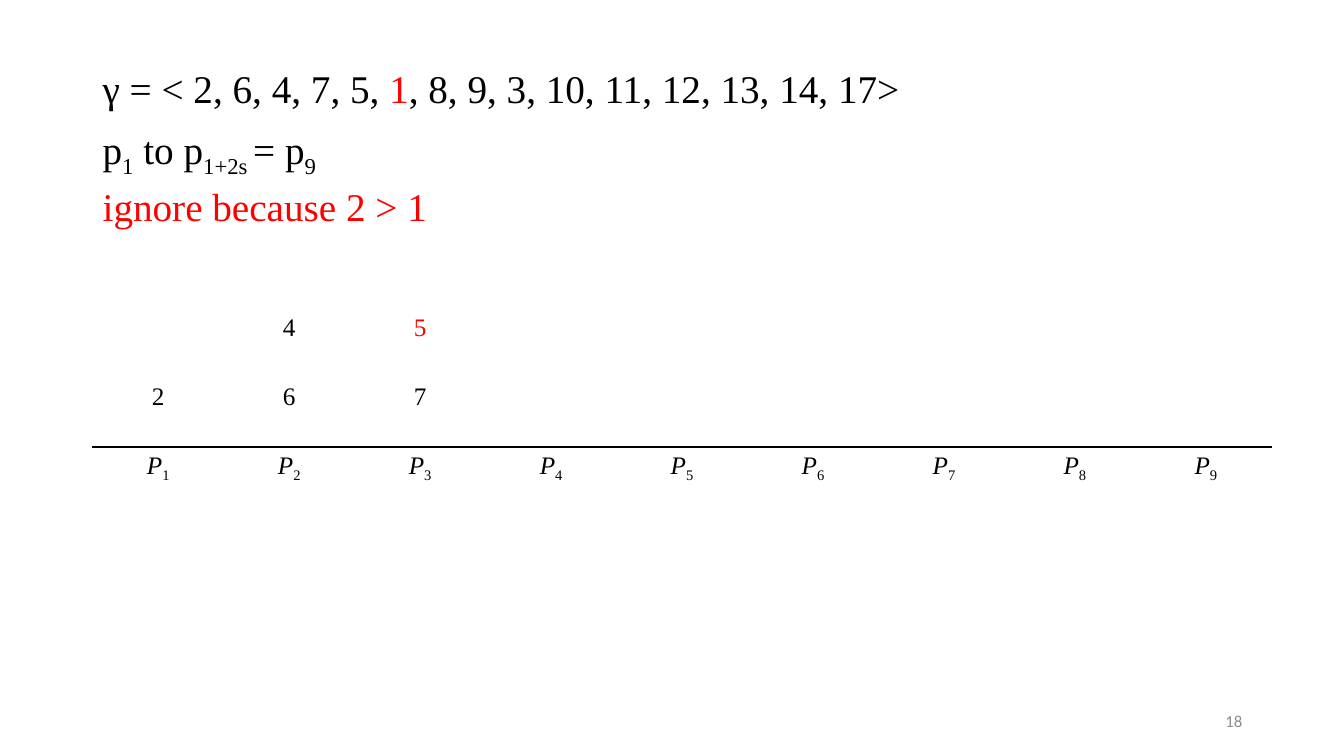
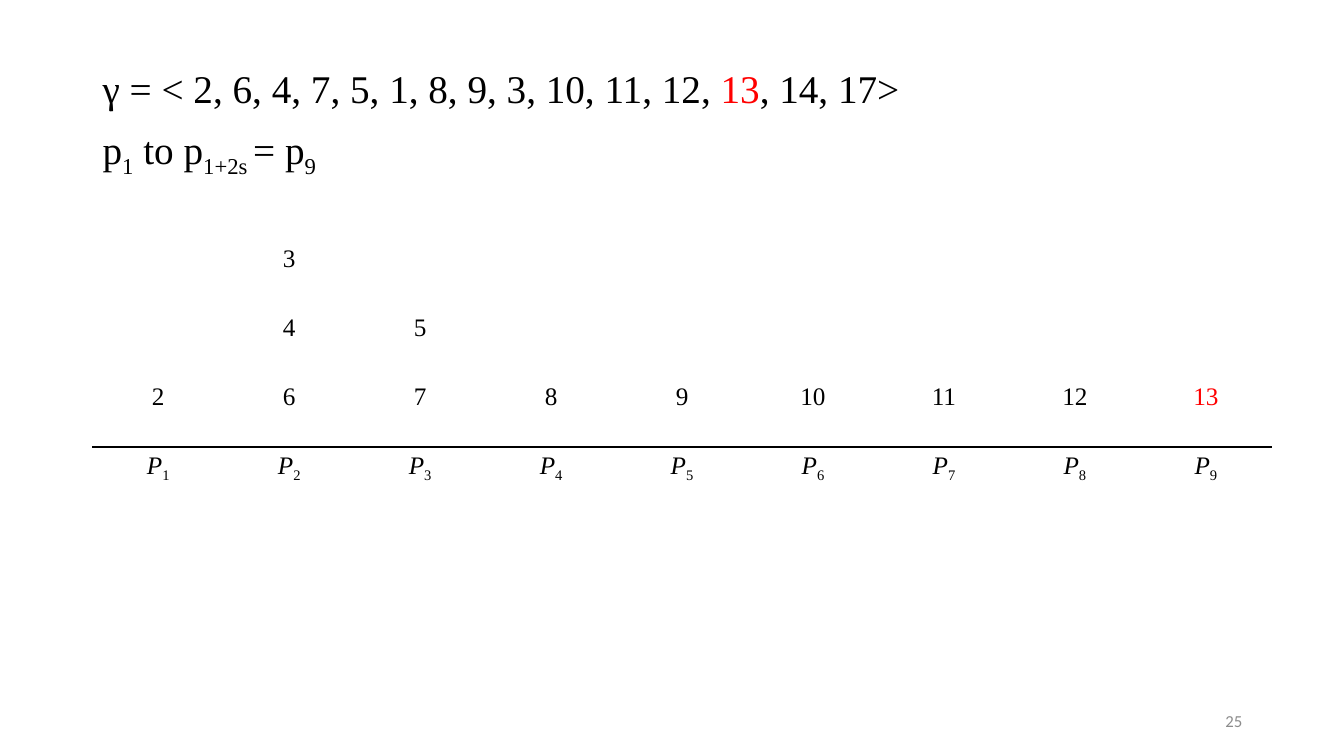
import pptx
import pptx.dml.color
import pptx.enum.text
import pptx.oxml
import pptx.oxml.ns
import pptx.util

Inches = pptx.util.Inches
Pt = pptx.util.Pt
ALIGN = pptx.enum.text.PP_ALIGN
COLORS = {"text": "000000", "accent": "FF0000", "muted": "8C8C8C", "paper": "FFFFFF"}
SERIF = "Times New Roman"
SEQUENCE = [2, 6, 4, 7, 5, 1, 8, 9, 3, 10, 11, 12, 13, 14, 17]
RANGE_RUNS = [("p", ""), ("1", "sub"), (" to p", ""), ("1+2s ", "sub"), ("= p", ""), ("9", "sub")]
PILE_ROWS = 3
PILE_COUNT = 9


def rgb(name):
    return pptx.dml.color.RGBColor.from_string(COLORS[name])


def write(p, runs, size, font=SERIF, color="text", align=None):
    p.alignment = align
    p.font.size = Pt(size)
    p.font.name = font
    p.font.color.rgb = rgb(color)
    for text, style in runs:
        r = p.add_run()
        r.text = text
        if style == "sub":
            r.font._element.set("baseline", "-25000")
        elif style == "accent":
            r.font.color.rgb = rgb("accent")
        elif style == "italic":
            r.font.italic = True


def add_text_box(slide, left, top, width, height):
    sp = slide.shapes.add_textbox(Inches(left), Inches(top), Inches(width), Inches(height))
    tf = sp.text_frame
    tf.word_wrap = True
    return tf


def sequence_runs(current):
    i = SEQUENCE.index(current)
    before = "".join(f"{n}, " for n in SEQUENCE[:i])
    after = "".join(f", {n}" for n in SEQUENCE[i + 1:])
    return [(f"γ = < {before}", ""), (str(current), "accent"), (f"{after}>", "")]


def add_body(slide, lines):
    tf = add_text_box(slide, 0.92, 0.64, 11.5, 1.7)
    for i, runs in enumerate(lines):
        p = tf.add_paragraph() if i else tf.paragraphs[0]
        p.line_spacing = 0.9
        p.space_before = Pt(10 if i else 0)
        write(p, runs, 28)


def add_page_number(slide, number):
    tf = add_text_box(slide, 9.42, 6.95, 3, 0.4)
    tf.vertical_anchor = pptx.enum.text.MSO_ANCHOR.MIDDLE
    write(tf.paragraphs[0], [(str(number), "")], 12, "Calibri", "muted", ALIGN.RIGHT)


def style_cell(cell, top, bottom):
    tcPr = cell._tc.get_or_add_tcPr()
    for side, color in (("L", "paper"), ("R", "paper"), ("T", top), ("B", bottom)):
        tcPr.append(pptx.oxml.parse_xml(
            f'<a:ln{side} {pptx.oxml.ns.nsdecls("a")} w="12700"><a:solidFill>'
            f'<a:srgbClr val="{COLORS[color]}"/></a:solidFill></a:ln{side}>'))
    cell.fill.solid()
    cell.fill.fore_color.rgb = rgb("paper")


def add_piles(slide, piles, newest):
    table = slide.shapes.add_table(
        PILE_ROWS + 1, PILE_COUNT, Inches(0.92), Inches(2.38), Inches(11.69), Inches(2.74)).table
    table.first_row = table.horz_banding = False
    for col in range(PILE_COUNT):
        pile = piles[col] if col < len(piles) else []
        for row in range(PILE_ROWS + 1):
            cell = table.cell(row, col)
            style_cell(cell, "text" if row == PILE_ROWS else "paper",
                       "text" if row == PILE_ROWS - 1 else "paper")
            level = PILE_ROWS - 1 - row
            if row == PILE_ROWS:
                runs = [("P", "italic"), (str(col + 1), "sub")]
            elif level < len(pile):
                runs = [(str(pile[level]), "accent" if pile[level] == newest else "")]
            else:
                runs = []
            write(cell.text_frame.paragraphs[0], runs, 18, align=ALIGN.CENTER)


def add_step(prs, number, current, piles, newest, remark=None):
    slide = prs.slides.add_slide(prs.slide_layouts[6])
    lines = [sequence_runs(current), RANGE_RUNS]
    if remark:
        lines.append([(remark, "accent")])
    add_body(slide, lines)
    add_page_number(slide, number)
    add_piles(slide, piles, newest)


def main():
    prs = pptx.Presentation()
    prs.slide_width = Inches(13.33)
    prs.slide_height = Inches(7.5)
    add_step(prs, 18, 1, [[2], [6, 4], [7, 5]], 5, "ignore because 2 > 1")
    add_step(prs, 25, 13, [[2], [6, 4, 3], [7, 5], [8], [9], [10], [11], [12], [13]], 13)
    prs.save("out.pptx")


if __name__ == "__main__":
    main()
